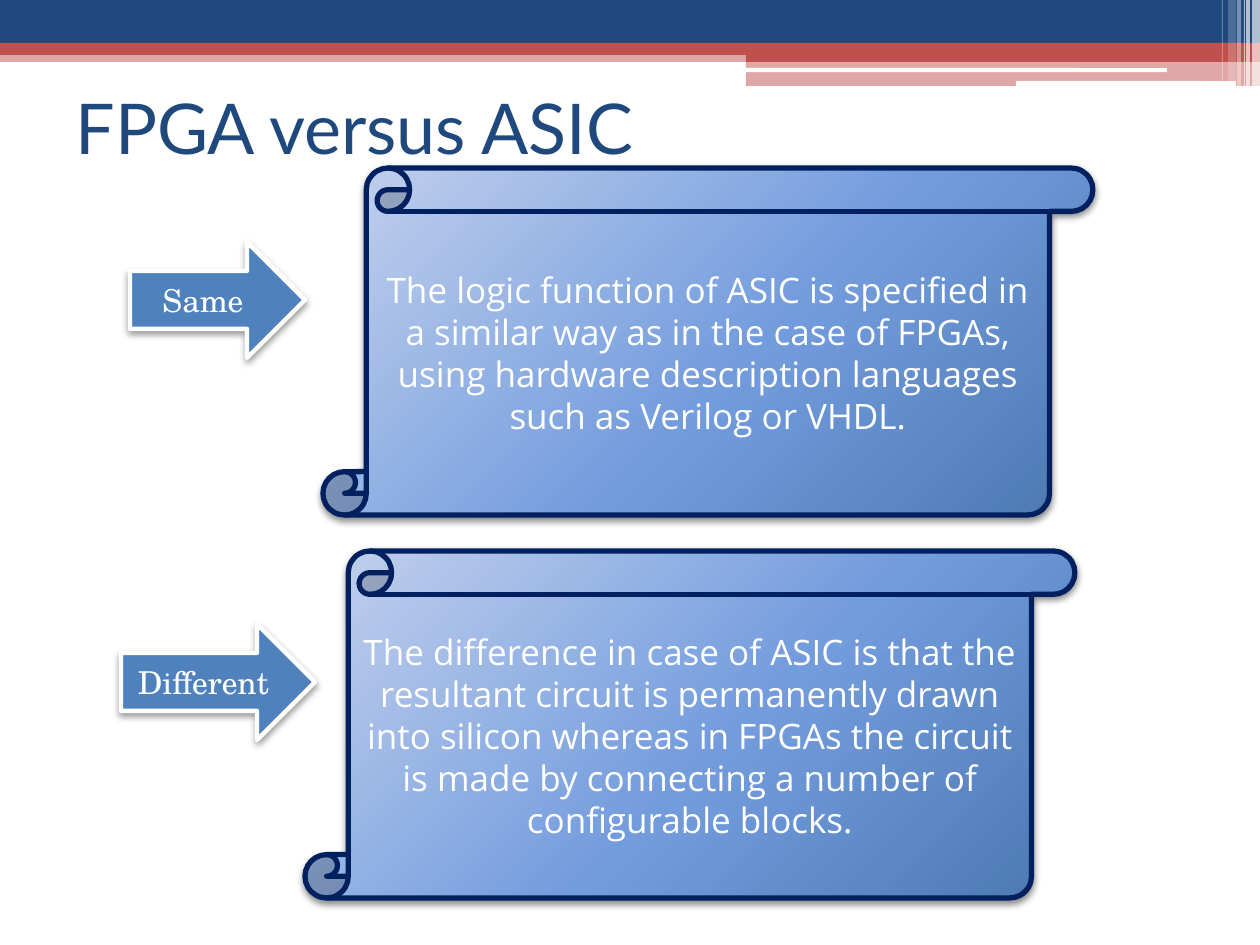
from typing import NamedTuple

from lxml import etree
from pptx import Presentation
from pptx import util as u
from pptx.dml.color import RGBColor
from pptx.enum import shapes, text
from pptx.oxml import parse_xml
from pptx.oxml.ns import nsdecls, qn

EMU_PER_PX = 914400 / 126
COLORS = {
    "navy": "1F497D", "red": "C0504D", "white": "FFFFFF", "blue": "4F81BD",
    "outline": "002060", "light": "C4D2EE", "middle": "739CDD", "deep": "4A78B0",
    "shadow": "000000",
}
GRADIENT = ((0, "light"), (55, "middle"), (100, "deep"))


class Box(NamedTuple):
    left: int
    top: int
    width: int
    height: int


class Band(NamedTuple):
    box: Box
    color: str
    opacity: int = 100
    rounded: bool = False


class Comparison(NamedTuple):
    label: str
    arrow: Box
    statement: str
    scroll: Box


BANDS = [
    Band(Box(0, 50, 1260, 12), "red", 50),
    Band(Box(0, 0, 1260, 43), "navy"),
    Band(Box(0, 43, 1260, 12), "red"),
    Band(Box(746, 49, 514, 13), "red"),
    Band(Box(746, 61, 514, 25), "red", 50),
    Band(Box(745, 68, 422, 4), "white", rounded=True),
    Band(Box(1016, 81, 220, 5), "white", rounded=True),
    Band(Box(1252, 0, 8, 86), "white", 65),
    Band(Box(1246, 0, 4, 86), "white", 65),
    Band(Box(1244, 0, 1, 86), "white", 60),
    Band(Box(1237, 0, 4, 86), "white", 40),
    Band(Box(1228, 0, 8, 81), "white", 20),
    Band(Box(1222, 0, 1, 81), "white", 30),
]
COMPARISONS = [
    Comparison(
        "Same", Box(130, 242, 175, 116),
        "The logic function of ASIC is specified in a similar way as in the case of "
        "FPGAs, using hardware description languages such as Verilog or VHDL.",
        Box(323, 168, 770, 347),
    ),
    Comparison(
        "Different", Box(121, 624, 194, 116),
        "The difference in case of ASIC is that the resultant circuit is permanently "
        "drawn into silicon whereas in FPGAs the circuit is made by connecting a "
        "number of configurable blocks.",
        Box(305, 551, 770, 347),
    ),
]


def px(length: int) -> int:
    return round(length * EMU_PER_PX)


def rgb(color: str) -> RGBColor:
    return RGBColor.from_string(COLORS[color])


def add_shape(slide, kind, box: Box):
    return slide.shapes.add_shape(kind, *map(px, box))


def write(shape, wording: str, font: str, size: int, color: str, alignment) -> None:
    frame = shape.text_frame
    frame.text = wording
    frame.word_wrap = True
    frame.vertical_anchor = text.MSO_ANCHOR.MIDDLE
    paragraph = frame.paragraphs[0]
    paragraph.alignment = alignment
    run_font = paragraph.runs[0].font
    run_font.name, run_font.size = font, u.Pt(size)
    run_font.color.rgb = rgb(color)


def set_outline(shape, color: str, points: float) -> None:
    shape.line.color.rgb = rgb(color)
    shape.line.width = u.Pt(points)


def cast_shadow(shape, opacity: int, blur: float) -> None:
    """Add a soft shadow 2 pt straight below; call after fill and line are set."""
    shape.element.spPr.append(parse_xml(
        f'<a:effectLst {nsdecls("a")}><a:outerShdw blurRad="{u.Pt(blur)}" '
        f'dist="{u.Pt(2)}" dir="5400000" rotWithShape="0">'
        f'<a:srgbClr val="{COLORS["shadow"]}"><a:alpha val="{opacity * 1000}"/>'
        '</a:srgbClr></a:outerShdw></a:effectLst>'))


def fill_radially(shape) -> None:
    """Fill with the scroll gradient, whose focus lies outside the shape."""
    stops = "".join(
        f'<a:gs pos="{position * 1000}"><a:srgbClr val="{COLORS[color]}"/></a:gs>'
        for position, color in GRADIENT)
    shape.element.spPr.find(qn("a:prstGeom")).addnext(parse_xml(
        f'<a:gradFill {nsdecls("a")} rotWithShape="1"><a:gsLst>{stops}</a:gsLst>'
        '<a:path path="circle"><a:fillToRect l="-40000" t="-90000" r="140000" '
        'b="190000"/></a:path></a:gradFill>'))


def draw_band(slide, band: Band) -> None:
    kind = shapes.MSO_SHAPE.ROUNDED_RECTANGLE if band.rounded else shapes.MSO_SHAPE.RECTANGLE
    shape = add_shape(slide, kind, band.box)
    shape.shadow.inherit = False
    shape.line.fill.background()
    shape.fill.solid()
    shape.fill.fore_color.rgb = rgb(band.color)
    if band.opacity < 100:
        color = shape.element.spPr.find(qn("a:solidFill")).find(qn("a:srgbClr"))
        etree.SubElement(color, qn("a:alpha")).set("val", str(band.opacity * 1000))


def draw_comparison(slide, comparison: Comparison) -> None:
    scroll = add_shape(slide, shapes.MSO_SHAPE.VERTICAL_SCROLL, comparison.scroll)
    fill_radially(scroll)
    set_outline(scroll, "outline", 3)
    cast_shadow(scroll, 45, 4)
    write(scroll, comparison.statement, "Open Sans", 20, "white", text.PP_ALIGN.CENTER)

    arrow = add_shape(slide, shapes.MSO_SHAPE.RIGHT_ARROW, comparison.arrow)
    arrow.fill.solid()
    arrow.fill.fore_color.rgb = rgb("blue")
    set_outline(arrow, "white", 2.5)
    cast_shadow(arrow, 40, 4.1)
    write(arrow, comparison.label, "TeX Gyre Schola", 18, "white", text.PP_ALIGN.CENTER)


def place_title(slide) -> None:
    title = slide.shapes.title
    title.left, title.top, title.width, title.height = map(px, Box(63, 53, 1134, 147))
    write(title, "FPGA versus ASIC", "Lato", 40, "navy", text.PP_ALIGN.LEFT)
    title.text_frame.auto_size = text.MSO_AUTO_SIZE.NONE
    title.element.getparent().append(title.element)  # in front of the bands


def main() -> None:
    presentation = Presentation()
    presentation.slide_width, presentation.slide_height = px(1260), px(945)
    slide = presentation.slides.add_slide(presentation.slide_layouts[5])
    for band in BANDS:
        draw_band(slide, band)
    place_title(slide)
    for comparison in COMPARISONS:
        draw_comparison(slide, comparison)
    presentation.save("out.pptx")


if __name__ == "__main__":
    main()
